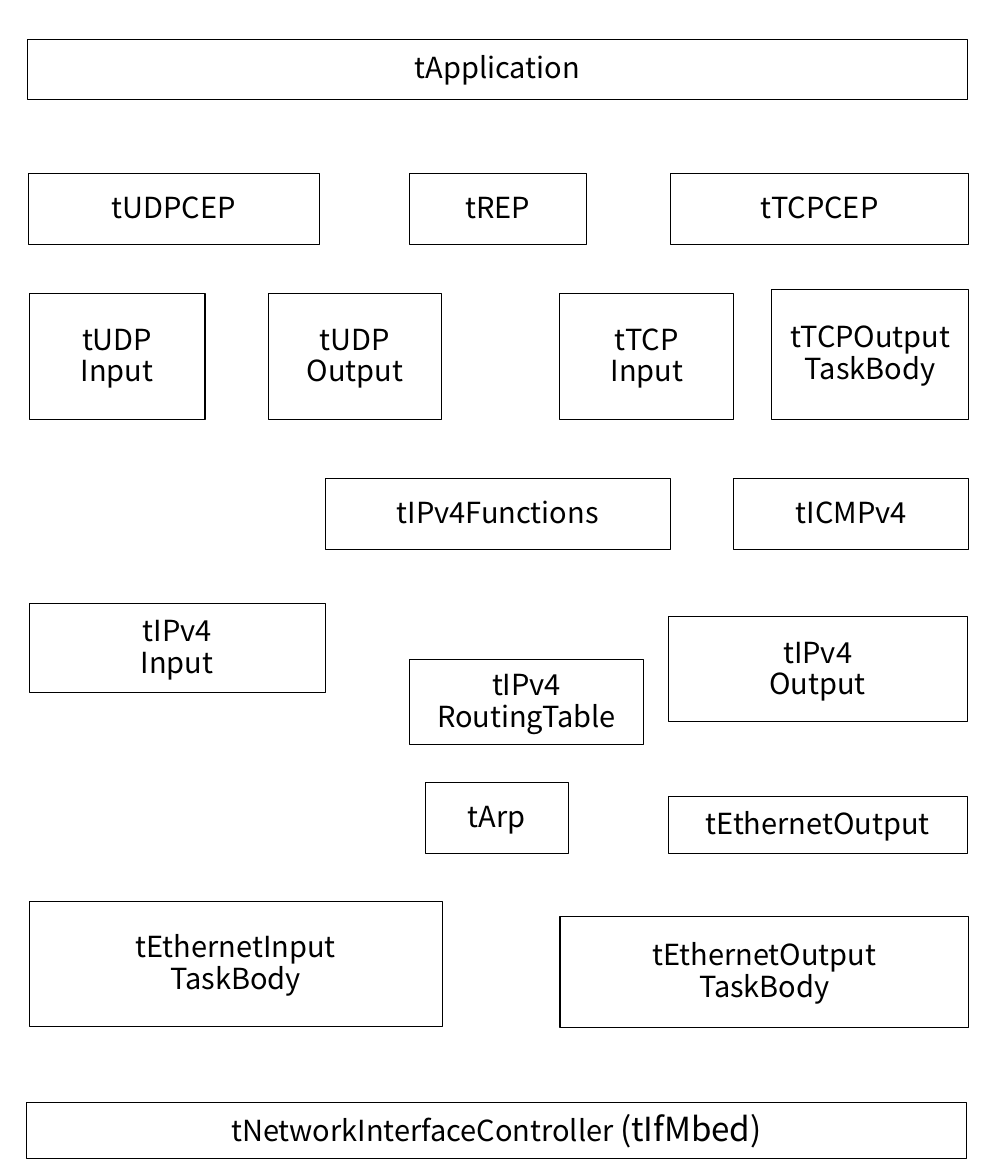
from dataclasses import dataclass

from pptx import Presentation
from pptx.dml.color import RGBColor
from pptx.enum.shapes import MSO_SHAPE as Preset
from pptx.enum.text import MSO_ANCHOR as Anchor, PP_ALIGN as Align
from pptx.slide import Slide
from pptx.util import Inches, Pt


@dataclass(frozen=True)
class Theme:
    font: str = "Noto Sans CJK JP"
    ink: RGBColor = RGBColor(0x00, 0x00, 0x00)
    paper: RGBColor = RGBColor(0xFF, 0xFF, 0xFF)
    label_size: Pt = Pt(28)
    suffix_size: Pt = Pt(32)
    border: Pt = Pt(1)
    line_spacing: float = 0.9


@dataclass(frozen=True)
class Component:
    label: str
    left: float
    top: float
    width: float
    height: float
    suffix: str = ""


THEME = Theme()

COMPONENTS = [
    Component("tApplication", 0.37, 0.53, 12.6, 0.8),
    # Communication end points
    Component("tUDPCEP", 0.38, 2.33, 3.9, 0.95),
    Component("tREP", 5.49, 2.33, 2.37, 0.95),
    Component("tTCPCEP", 8.99, 2.33, 4, 0.95),
    # Transport layer
    Component("tUDP\nInput", 0.39, 3.93, 2.36, 1.7),
    Component("tUDP\nOutput", 3.6, 3.93, 2.32, 1.7),
    Component("tTCP\nInput", 7.51, 3.93, 2.33, 1.7),
    Component("tTCPOutput\nTaskBody", 10.35, 3.88, 2.64, 1.74),
    # Internet layer
    Component("tIPv4Functions", 4.36, 6.42, 4.63, 0.95),
    Component("tICMPv4", 9.84, 6.42, 3.15, 0.95),
    Component("tIPv4\nInput", 0.39, 8.09, 3.97, 1.2),
    Component("tIPv4\nRoutingTable", 5.49, 8.84, 3.14, 1.15),
    Component("tIPv4\nOutput", 8.96, 8.27, 4.01, 1.41),
    # Link layer
    Component("tArp", 5.7, 10.49, 1.92, 0.95),
    Component("tEthernetOutput", 8.96, 10.68, 4.01, 0.76),
    Component("tEthernetInput\nTaskBody", 0.39, 12.09, 5.54, 1.68),
    Component("tEthernetOutput\nTaskBody", 7.51, 12.29, 5.48, 1.49),
    Component("tNetworkInterfaceController ", 0.36, 14.79, 12.6, 0.75, "(tIfMbed)"),
]


def draw_component(slide: Slide, component: Component) -> None:
    shape = slide.shapes.add_shape(
        Preset.RECTANGLE,
        Inches(component.left), Inches(component.top),
        Inches(component.width), Inches(component.height),
    )
    shape.shadow.inherit = False
    shape.fill.solid()
    shape.fill.fore_color.rgb = THEME.paper
    shape.line.color.rgb = THEME.ink
    shape.line.width = THEME.border

    frame = shape.text_frame
    frame.word_wrap = True
    frame.vertical_anchor = Anchor.MIDDLE
    frame.margin_left = frame.margin_right = Inches(0.21)
    frame.margin_top = frame.margin_bottom = Inches(0.11)
    frame.text = component.label
    if component.suffix:
        frame.paragraphs[-1].add_run().text = component.suffix

    for paragraph in frame.paragraphs:
        paragraph.alignment = Align.CENTER
        paragraph.line_spacing = THEME.line_spacing
        for run in paragraph.runs:
            is_suffix = run.text == component.suffix
            run.font.name = THEME.font
            run.font.size = THEME.suffix_size if is_suffix else THEME.label_size
            run.font.color.rgb = THEME.ink


def main() -> None:
    presentation = Presentation()
    presentation.slide_width = Inches(13.33)
    presentation.slide_height = Inches(15.77)
    slide = presentation.slides.add_slide(presentation.slide_layouts[6])
    for component in COMPONENTS:
        draw_component(slide, component)
    presentation.save("out.pptx")


if __name__ == "__main__":
    main()
